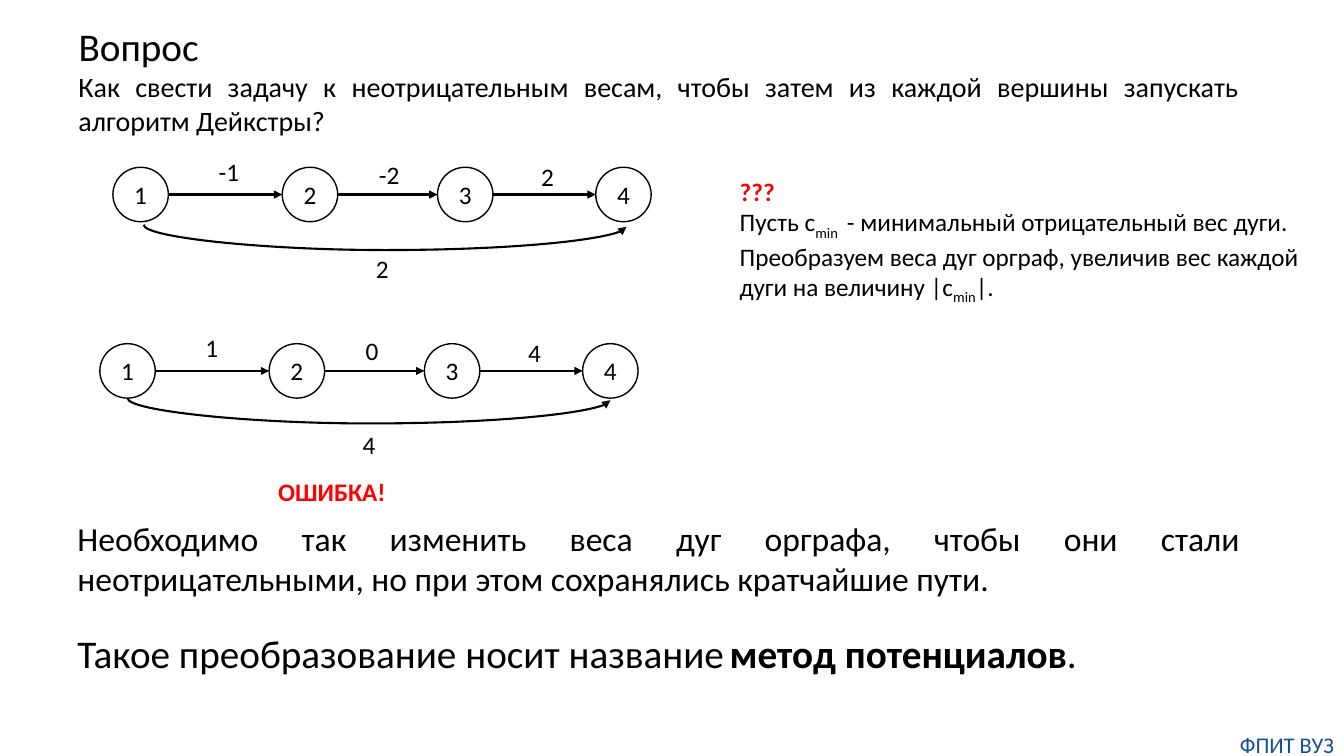
from lxml import etree
from pptx import Presentation, util as u
from pptx.dml.color import RGBColor
from pptx.enum import shapes, text
from pptx.oxml.ns import qn

CELL = u.Inches(0.1)  # the slide is a grid of 133.33 columns by 75 rows
COLS, ROWS = 133.33, 75
BLACK, RED, BLUE = "000000", "FF0000", "144E9D"
LEFT, JUSTIFY, CENTER = text.PP_ALIGN.LEFT, text.PP_ALIGN.JUSTIFY, text.PP_ALIGN.CENTER

NODE_W, NODE_H = 5.5, 5.4
NODE_COLS = (0, 16.8, 32.2, 47.9)
LABEL_SPOTS = ((9.5, -1.6), (25.4, -1.3), (41.5, -1.1), (25.1, 8))
ARC_DROP, ARC_RISE = 2.5, 0.2


def cells(*lengths):
    return [round(n * CELL) for n in lengths]


def rgb(color):
    return RGBColor.from_string(color)


def add_run(p, words, size=18, color=BLACK, bold=False, baseline=0):
    r = p.add_run()
    r.text = words
    r.font.name, r.font.size, r.font.bold = "Calibri", u.Pt(size), bold
    r.font.color.rgb = rgb(color)
    if baseline:
        r._r.get_or_add_rPr().set("baseline", str(baseline * 1000))


def write(tf, *paragraphs, align=LEFT, wrap=True, anchor=text.MSO_ANCHOR.TOP,
          inset=None, gap=0, **font):
    """Each paragraph is a string or a list of (words, font overrides)."""
    tf.word_wrap, tf.vertical_anchor = wrap, anchor
    tf.auto_size = text.MSO_AUTO_SIZE.NONE
    if inset is not None:
        tf.margin_left = tf.margin_right = tf.margin_top = tf.margin_bottom = inset
    for i, parts in enumerate(paragraphs):
        p = tf.paragraphs[0] if i == 0 else tf.add_paragraph()
        p.alignment = align
        p.space_before = u.Pt(gap if i else 0)
        for words, own in [(parts, {})] if isinstance(parts, str) else parts:
            add_run(p, words, **{**font, **own})


def add_text(s, box, *paragraphs, **style):
    write(s.shapes.add_textbox(*cells(*box)).text_frame, *paragraphs, **style)


def add_arrow(s, kind, start, end):
    line = s.shapes.add_connector(kind, *cells(*start, *end))
    line.line.color.rgb, line.line.width = rgb(BLACK), u.Pt(1.5)
    etree.SubElement(line.line._get_or_add_ln(), qn("a:tailEnd"), type="triangle")
    etree.SubElement(line._element.spPr, qn("a:effectLst"))
    return line


def add_arc(s, x, y, span):
    """Curved arrow that hangs below the nodes: a connector turned by 270 degrees."""
    mid_x, mid_y = x + span / 2, y + ARC_RISE / 2
    left, top = mid_x - ARC_RISE / 2, mid_y - span / 2
    arc = add_arrow(s, shapes.MSO_CONNECTOR.CURVE, (left, top),
                    (left + ARC_RISE, top + span))
    xfrm = arc._element.spPr.find(qn("a:xfrm"))
    xfrm.set("rot", str(270 * 60000))
    xfrm.set("flipH", "1")
    guides = arc._element.spPr.find(qn("a:prstGeom")).find(qn("a:avLst"))
    bend = round(ARC_DROP / ARC_RISE * 100000)
    etree.SubElement(guides, qn("a:gd"), name="adj1", fmla=f"val {bend}")


def add_node(s, x, y, number):
    sp = s.shapes.add_shape(shapes.MSO_SHAPE.OVAL, *cells(x, y, NODE_W, NODE_H))
    sp.shadow.inherit = False
    sp.fill.background()
    sp.line.color.rgb, sp.line.width = rgb(BLACK), u.Pt(1)
    write(sp.text_frame, str(number), align=CENTER, anchor=text.MSO_ANCHOR.MIDDLE)


def add_graph(s, x, y, weights, arc_shift=0):
    for number, col in enumerate(NODE_COLS, 1):
        add_node(s, x + col, y, number)
    mid = y + NODE_H / 2
    for a, b in zip(NODE_COLS, NODE_COLS[1:]):
        add_arrow(s, shapes.MSO_CONNECTOR.STRAIGHT, (x + a + NODE_W, mid), (x + b, mid))
    add_arc(s, x + NODE_W / 2 + arc_shift, y + NODE_H + arc_shift, NODE_COLS[-1])
    for weight, (dx, dy) in zip(weights, LABEL_SPOTS):
        add_text(s, (x + dx, y + dy, 2.5 + 0.8 * len(weight), 4), weight, wrap=False)


def add_question(s, x, y, w):
    title = s.shapes.title
    title.left, title.top, title.width, title.height = cells(x, y, w, 5.7)
    write(title.text_frame, "Вопрос", size=28, align=JUSTIFY)
    add_text(s, (x, y + 4.7, w, 7.7),
             "Как свести задачу к неотрицательным весам, чтобы затем из каждой "
             "вершины запускать алгоритм Дейкстры?", size=20, align=JUSTIFY)


def add_idea(s, x, y, w, h):
    sub = {"baseline": -25}
    add_text(s, (x, y, w, h),
             [("???", {"color": RED, "bold": True})],
             [("Пусть c", {}), ("min ", sub),
              (" - минимальный отрицательный вес дуги. Преобразуем веса дуг "
               "орграф, увеличив вес каждой дуги на величину |c", {}),
              ("min", sub), ("|.", {})])


def add_conclusion(s, x, y, w, h):
    add_text(s, (x, y, w, h),
             [("Необходимо так изменить веса дуг орграфа, чтобы они стали "
               "неотрицательными, но при этом сохранялись кратчайшие пути.", {"size": 24})],
             [("Такое преобразование носит название", {}), (" ", {"size": 18}),
              ("метод потенциалов", {"bold": True}), (".", {})],
             size=28, align=JUSTIFY, gap=22)


def main():
    prs = Presentation()
    prs.slide_width, prs.slide_height = cells(COLS, ROWS)
    s = prs.slides.add_slide(prs.slide_layouts[5])
    add_question(s, 6.8, 1.7, 117.1)
    add_graph(s, 11.2, 16.6, ("-1", "-2", "2", "2"), arc_shift=0.3)
    add_graph(s, 9.9, 34.1, ("1", "0", "4", "4"))
    add_idea(s, 72.4, 17, COLS - 72.4, 13.1)
    add_text(s, (26.6, 46.8, 12.8, 4), "ОШИБКА!", color=RED, bold=True, wrap=False)
    add_conclusion(s, 6.7, 50.9, 117.3, 16.8)
    add_text(s, (COLS - 11.3, 72.5, 11.3, 2.7), "ФПИТ ВУЗ", size=16, color=BLUE,
             align=CENTER, inset=0)
    prs.save("out.pptx")


if __name__ == "__main__":
    main()
